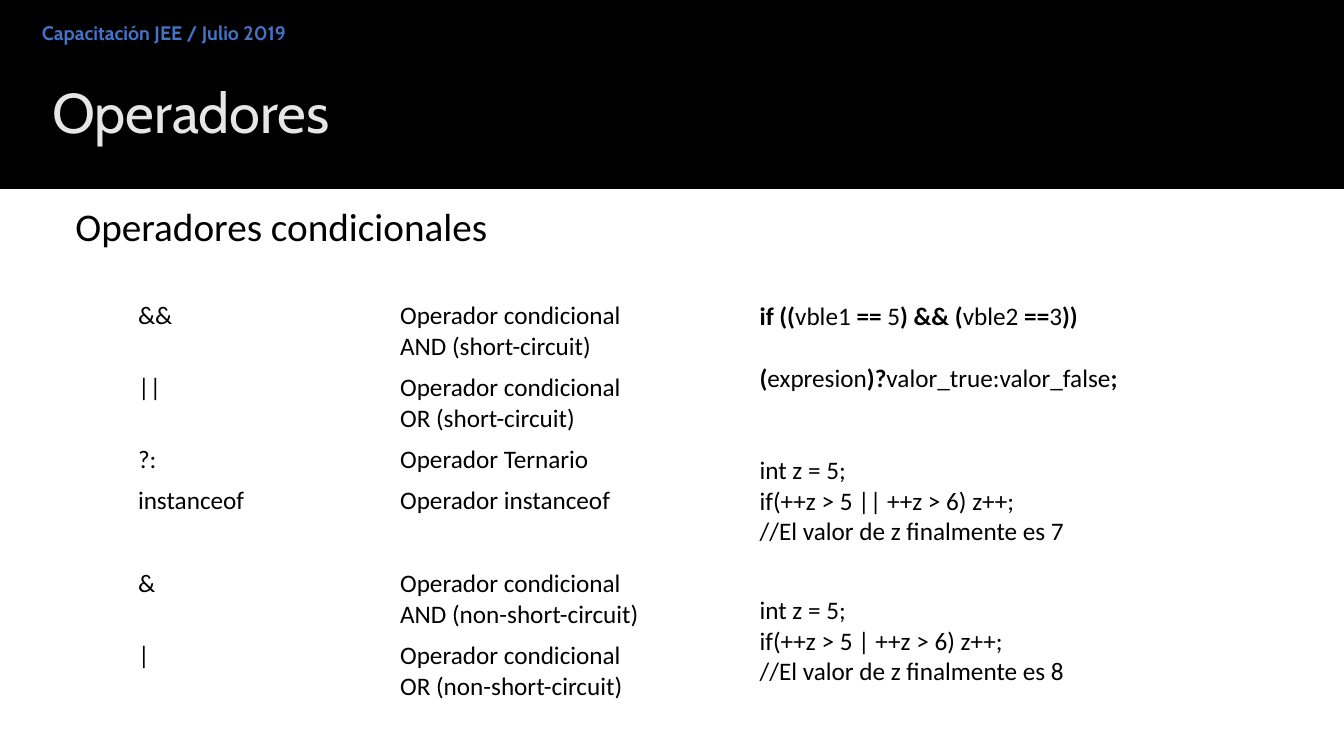
"""Builds the slide on Java conditional operators."""
from dataclasses import dataclass

from lxml.etree import SubElement
from pptx import Presentation
from pptx.dml.color import RGBColor as RGB
from pptx.enum.shapes import MSO_SHAPE as SHAPE
from pptx.enum.text import MSO_ANCHOR as ANCHOR, MSO_AUTO_SIZE as AUTO, PP_ALIGN as ALIGN
from pptx.oxml.ns import qn
from pptx.util import Pt


@dataclass(frozen=True)
class Theme:
    black: RGB = RGB(0x00, 0x00, 0x00)
    white: RGB = RGB(0xFF, 0xFF, 0xFF)
    light: RGB = RGB(0xE7, 0xE6, 0xE6)
    blue: RGB = RGB(0x44, 0x72, 0xC4)
    heading: str = "Cabin"
    text: str = "Calibri"
    title: int = 40
    subtitle: int = 28
    body: int = 18
    label: int = 14


T = Theme()


def add_run(p, text, size, name, color, bold=False):
    r = p.add_run()
    r.text = text
    for key, value in {"size": Pt(size), "name": name, "bold": bold}.items():
        setattr(r.font, key, value)
    r.font.color.rgb = color


def add_grid(s, left, top, widths, heights, rows):
    size = Pt(sum(widths)), Pt(sum(heights))
    table = s.shapes.add_table(len(heights), len(widths), Pt(left), Pt(top), *size).table
    table.first_row = table.horz_banding = False
    for col, width in zip(table.columns, widths):
        col.width = Pt(width)
    for row, height, texts in zip(table.rows, heights, rows):
        row.height = Pt(height)
        for cell, lines in zip(row.cells, texts):
            cell.fill.solid()
            cell.fill.fore_color.rgb = T.white
            side, edge = (4.3, 3.6) if lines else (0, 0)
            margins = {"margin_left": side, "margin_right": side,
                       "margin_top": edge, "margin_bottom": edge}
            for key, value in margins.items():
                setattr(cell, key, Pt(value))
            for i, (line, gap) in enumerate(lines):
                p = cell.text_frame.add_paragraph() if i else cell.text_frame.paragraphs[0]
                p.space_before = Pt(gap)
                for j, part in enumerate(line.split("*")):
                    if part:
                        add_run(p, part, T.body, T.text, T.black, j % 2 == 1)


prs = Presentation()
prs.slide_width, prs.slide_height = Pt(960), Pt(540)
s = prs.slides.add_slide(prs.slide_layouts[1])

band = s.shapes.add_shape(SHAPE.RECTANGLE, 0, 0, Pt(960), Pt(135))
band.shadow.inherit = False
band.fill.solid()
band.fill.fore_color.rgb = T.black
band.line.fill.background()
s.shapes.element.insert(2, band.element)

title, label = s.shapes.title, s.placeholders[1]
boxes = [
    (title, (30, 45, 900, 75), ANCHOR.MIDDLE, "Operadores", T.title, T.light, False),
    (label, (30, 17, 432, 18), ANCHOR.TOP, "Capacitación JEE / Julio 2019",
     T.label, T.blue, True),
]
for sp, place, anchor, text, size, color, bold in boxes:
    for key, value in zip(("left", "top", "width", "height"), place):
        setattr(sp, key, Pt(value))
    tf = sp.text_frame
    tf.auto_size, tf.vertical_anchor = AUTO.NONE, anchor
    p = tf.paragraphs[0]
    p.alignment, p.line_spacing, p.space_before = ALIGN.LEFT, 0.9, Pt(0)
    add_run(p, text, size, T.heading, color, bold)

margins = {"margin_left": 0, "margin_top": 0, "margin_right": 0, "margin_bottom": Pt(3.6)}
for key, value in margins.items():
    setattr(label.text_frame, key, value)
pPr = label.text_frame.paragraphs[0]._p.get_or_add_pPr()
pPr.set("marL", "0")
pPr.set("indent", "0")
SubElement(pPr, qn("a:buNone"))

sp = s.shapes.add_textbox(Pt(46.8), Pt(141), Pt(312), Pt(41))
tf = sp.text_frame
tf.word_wrap, tf.auto_size = False, AUTO.SHAPE_TO_FIT_TEXT
add_run(tf.paragraphs[0], "Operadores condicionales", T.subtitle, T.text, T.black)

operators = [
    ("&&", "Operador condicional AND (short-circuit)"),
    ("||", "Operador condicional OR (short-circuit)"),
    ("?:", "Operador Ternario"),
    ("instanceof", "Operador instanceof"),
    ("", ""),
    ("&", "Operador condicional AND (non-short-circuit)"),
    ("|", "Operador condicional OR (non-short-circuit)"),
]
double, single = 51.4, 29.3
heights = [double, double, single, single, 30, double, double]
rows = [[[(text, 0)] if text else [] for text in row] for row in operators]
add_grid(s, 94.3, 211, [187.2, 187.2], heights, rows)

short_circuit = [
    ("*if ((*vble1 *== *5*) && (*vble2 *==*3*))*", 0),
    ("*(*expresion*)?*valor_true:valor_false*;*", 22),
    ("int z = 5;", 44),
    ("if(++z > 5 || ++z > 6) z++;", 0),
    ("//El valor de z finalmente es 7", 0),
]
full_evaluation = [
    ("int z = 5;", 0),
    ("if(++z > 5 | ++z > 6) z++;", 0),
    ("//El valor de z finalmente es 8", 0),
]
rows = [[[], []], [short_circuit, []], [[], []], [full_evaluation, []]]
add_grid(s, 538.3, 181.4, [353.2, 21.6], [30.4, 183.2, 26.8, 73.2], rows)

prs.save("out.pptx")
